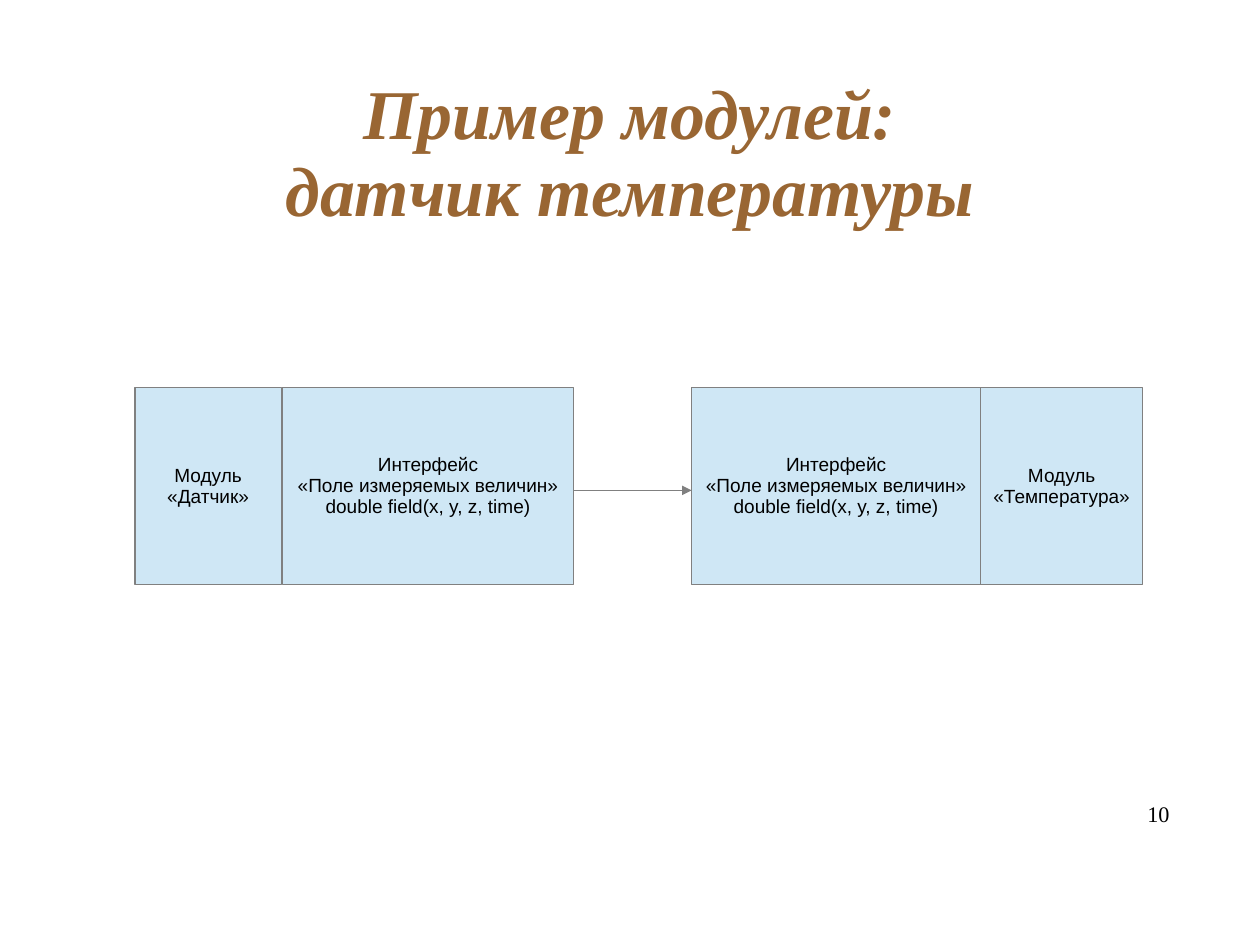
from lxml import etree
from pptx import Presentation
from pptx.dml.color import RGBColor
from pptx.enum import shapes, text
from pptx.oxml.ns import qn
from pptx.util import Pt

TITLE = "Пример модулей:\vдатчик температуры"
PAGE_NUMBER = "10"
INTERFACE = ["Интерфейс", "«Поле измеряемых величин»", "double field(x, y, z, time)"]

# left, width, lines of text
BOXES = [
    (85, 92.2, ["Модуль", "«Датчик»"]),
    (177.9, 183.5, INTERFACE),
    (435.7, 182.1, INTERFACE),
    (617.9, 101.8, ["Модуль", "«Температура»"]),
]
BOX_TOP, BOX_HEIGHT = 243.9, 124.2
ARROW_Y = 308.9
FILL, LINE, BLACK, BROWN = "CFE7F5", "808080", "000000", "996633"


def color(value):
    return RGBColor.from_string(value)


def write(shape, lines, font_name, size, font_color, alignment, anchor, insets, bold=False):
    """Fill a shape with equally formatted paragraphs; insets run left, top, right, bottom."""
    frame = shape.text_frame
    frame.vertical_anchor = anchor
    frame.margin_left, frame.margin_top, frame.margin_right, frame.margin_bottom = map(Pt, insets)
    frame.text = "\n".join(lines)
    for paragraph in frame.paragraphs:
        paragraph.alignment = alignment
        paragraph.line_spacing = 0.93
        font = paragraph.font
        font.name, font.size = font_name, Pt(size)
        font.bold = font.italic = bold
        font.color.rgb = color(font_color)


def add_text_box(slide, left, top, width, height, *text_format, **options):
    box = slide.shapes.add_textbox(Pt(left), Pt(top), Pt(width), Pt(height))
    box.text_frame.word_wrap = True
    write(box, *text_format, **options)


def add_box(slide, left, width, lines):
    box = slide.shapes.add_shape(shapes.MSO_SHAPE.RECTANGLE, Pt(left), Pt(BOX_TOP),
                                 Pt(width), Pt(BOX_HEIGHT))
    box.shadow.inherit = False
    box.fill.solid()
    box.fill.fore_color.rgb = color(FILL)
    box.line.color.rgb = color(LINE)
    box.line.width = Pt(0.75)
    box.text_frame.word_wrap = False
    write(box, lines, "Arial", 12, BLACK, text.PP_ALIGN.CENTER,
          text.MSO_ANCHOR.MIDDLE, (7.2, 4.3, 7.2, 3.6))
    return box


def add_arrow(slide, source, target):
    arrow = slide.shapes.add_connector(shapes.MSO_CONNECTOR.STRAIGHT, source.left + source.width,
                                       Pt(ARROW_Y), target.left, Pt(ARROW_Y))
    arrow.line.color.rgb = color(LINE)
    arrow.line.width = Pt(0.75)
    etree.SubElement(arrow.line._get_or_add_ln(), qn("a:tailEnd"), type="triangle")
    etree.SubElement(arrow._element.spPr, qn("a:effectLst"))


def main():
    presentation = Presentation()
    presentation.slide_width, presentation.slide_height = Pt(793.7), Pt(595.3)
    slide = presentation.slides.add_slide(presentation.slide_layouts[6])

    add_text_box(slide, 56.7, 45.2, 680.3, 101.5, [TITLE], "Times New Roman", 44, BROWN,
                 text.PP_ALIGN.CENTER, text.MSO_ANCHOR.MIDDLE, (0, 2.9, 0, 0), bold=True)
    boxes = [add_box(slide, *box) for box in BOXES]
    add_arrow(slide, boxes[1], boxes[2])
    add_text_box(slide, 552.2, 505.4, 184.6, 40.3, [PAGE_NUMBER], "Times New Roman", 14, BLACK,
                 text.PP_ALIGN.RIGHT, text.MSO_ANCHOR.TOP, (0, 0, 0, 0))

    presentation.save("out.pptx")


if __name__ == "__main__":
    main()
